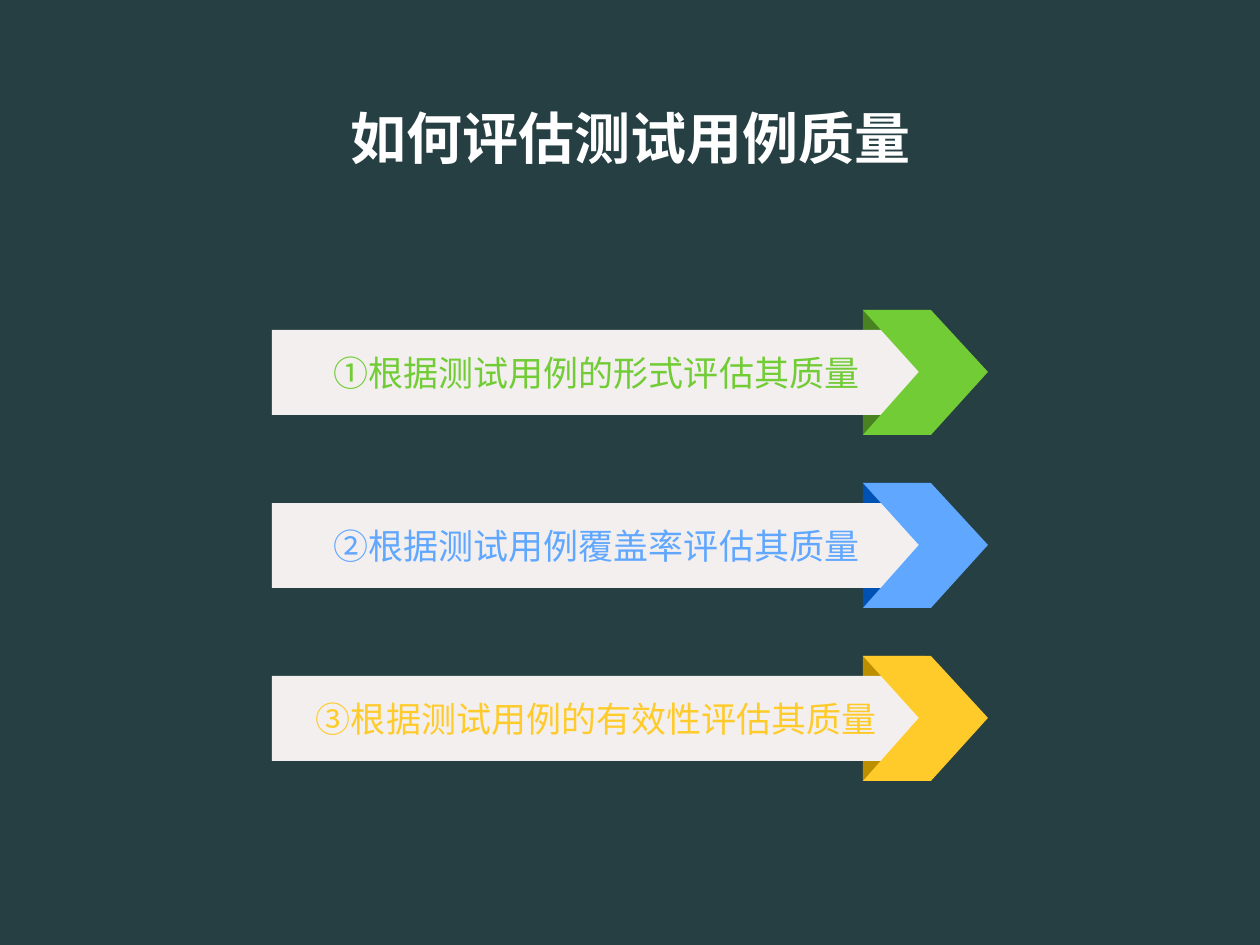
import pptx
import pptx.dml.color
import pptx.enum.shapes
import pptx.enum.text
import pptx.oxml.ns
import pptx.util
from lxml import etree

RGBColor = pptx.dml.color.RGBColor
BACKGROUND = RGBColor(0x26, 0x3F, 0x43)
WHITE = RGBColor(0xFF, 0xFF, 0xFF)
BAR = RGBColor(0xF3, 0xEF, 0xEF)
GREEN = RGBColor(0x72, 0xCC, 0x36)
DARK_GREEN = RGBColor(0x49, 0x83, 0x21)
BLUE = RGBColor(0x60, 0xA7, 0xFF)
DARK_BLUE = RGBColor(0x00, 0x51, 0xB4)
YELLOW = RGBColor(0xFF, 0xCB, 0x2A)
DARK_YELLOW = RGBColor(0xBC, 0x8F, 0x00)

PX = 914400 / 126
RECTANGLE = pptx.enum.shapes.MSO_SHAPE.RECTANGLE
FIRST_TOP = 310
ROW_PITCH = 173
ARROW_LEFT = 863
ARROW_OUTLINE = [(0, 0), (68, 0), (125, 62), (68, 125), (0, 125), (56, 62)]


def paint(shape, color):
    shape.shadow.inherit = False
    shape.fill.solid()
    shape.fill.fore_color.rgb = color
    shape.line.fill.background()


def write(box, text, color, font_format):
    frame = box.text_frame
    frame.word_wrap = True
    frame.vertical_anchor = pptx.enum.text.MSO_ANCHOR.MIDDLE
    para = frame.paragraphs[0]
    para.alignment = pptx.enum.text.PP_ALIGN.CENTER
    span = para.add_run()
    span.text = text
    span.font.color.rgb = color
    for name, value in font_format.items():
        setattr(span.font, name, value)
    east_asian = etree.SubElement(span.font._element, pptx.oxml.ns.qn("a:ea"))
    east_asian.set("typeface", "Noto Sans CJK SC")
    return para


deck = pptx.Presentation()
deck.slide_width = round(1260 * PX)
deck.slide_height = round(945 * PX)
page = deck.slides.add_slide(deck.slide_layouts[6])
page.background.fill.solid()
page.background.fill.fore_color.rgb = BACKGROUND

title_format = {"name": "Noto Sans CJK SC", "size": pptx.util.Pt(32), "bold": True}
label_format = {"name": "Arial", "size": pptx.util.Pt(20)}
rows = [
    ("①根据测试用例的形式评估其质量", GREEN, DARK_GREEN),
    ("②根据测试用例覆盖率评估其质量", BLUE, DARK_BLUE),
    ("③根据测试用例的有效性评估其质量", YELLOW, DARK_YELLOW),
]

for index, (text, color, dark_color) in enumerate(rows):
    top = FIRST_TOP + index * ROW_PITCH

    fold_area = [round(n * PX) for n in (ARROW_LEFT, top, 63, 125)]
    fold = page.shapes.add_shape(RECTANGLE, *fold_area)
    paint(fold, dark_color)

    bar_area = [round(n * PX) for n in (272, top + 20, 649, 85)]
    bar = page.shapes.add_shape(RECTANGLE, *bar_area)
    paint(bar, BAR)
    write(bar, text, color, label_format)

    points = [(ARROW_LEFT + x, top + y) for x, y in ARROW_OUTLINE]
    outline = page.shapes.build_freeform(*points[0], scale=PX)
    outline.add_line_segments(points[1:], close=True)
    paint(outline.convert_to_shape(), color)

title_area = [round(n * PX) for n in (87, 50, 1087, 183)]
title = page.shapes.add_textbox(*title_area)
write(title, "如何评估测试用例质量", WHITE, title_format).line_spacing = 0.9

deck.save("out.pptx")
